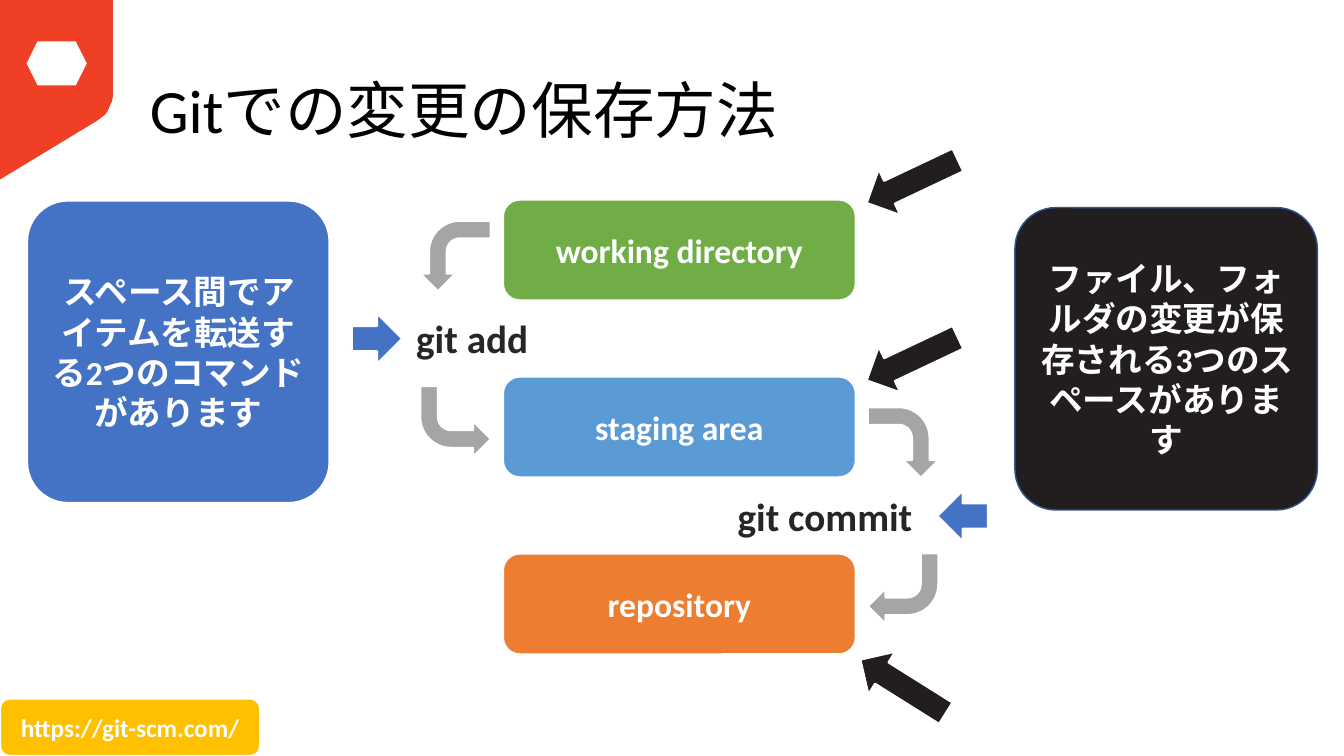
import pptx
import pptx.util
import pptx.dml.color
import pptx.enum.shapes
import pptx.enum.text

Pt = pptx.util.Pt
RGBColor = pptx.dml.color.RGBColor
SHAPE = pptx.enum.shapes.MSO_SHAPE
ALIGN = pptx.enum.text.PP_ALIGN
ANCHOR = pptx.enum.text.MSO_ANCHOR

WHITE = RGBColor(0xFF, 0xFF, 0xFF)
BLACK = RGBColor(0x00, 0x00, 0x00)
INK = RGBColor(0x22, 0x1E, 0x1F)
CHARCOAL = RGBColor(0x26, 0x26, 0x26)
RED = RGBColor(0xEF, 0x3F, 0x24)
BLUE = RGBColor(0x44, 0x72, 0xC4)
NAVY = RGBColor(0x32, 0x54, 0x91)
GREEN = RGBColor(0x70, 0xAD, 0x47)
SKY = RGBColor(0x5B, 0x9B, 0xD5)
ORANGE = RGBColor(0xED, 0x7D, 0x31)
GRAY = RGBColor(0xA5, 0xA5, 0xA5)
GOLD = RGBColor(0xFF, 0xC0, 0x00)

deck = pptx.Presentation()
deck.slide_width = Pt(960)
deck.slide_height = Pt(540)
page = deck.slides.add_slide(deck.slide_layouts[6])


def add_figure(kind, left, top, width, height, fill):
    figure = page.shapes.add_shape(kind, Pt(left), Pt(top), Pt(width), Pt(height))
    figure.shadow.inherit = False
    figure.fill.solid()
    figure.fill.fore_color.rgb = fill
    figure.line.color.rgb = WHITE
    figure.line.width = Pt(1.5)
    return figure


def write(box, text, size, color, align, bold=True):
    para = box.text_frame.paragraphs[0]
    para.alignment = align
    span = para.add_run()
    span.text = text
    span.font.name = "Calibri"
    span.font.size = Pt(size)
    span.font.bold = bold
    span.font.color.rgb = color
    return para


outline = page.shapes.build_freeform(Pt(80.6), Pt(0))
corner = [(0, 0), (0, 128.2), (69.1, 86.4), (72, 84.2), (74.9, 82.1), (77, 79.2),
          (78.5, 75.6), (79.9, 72.7), (80.6, 69.1), (80.6, 65.5)]
outline.add_line_segments([(Pt(x), Pt(y)) for x, y in corner])
banner = outline.convert_to_shape()
banner.shadow.inherit = False
banner.fill.solid()
banner.fill.fore_color.rgb = RED
banner.line.fill.background()

emblem = add_figure(SHAPE.HEXAGON, 19, 29.5, 43, 31.5, WHITE)
emblem.line.fill.background()

title = page.shapes.add_textbox(Pt(100), Pt(28.8), Pt(794), Pt(104.4))
title.text_frame.word_wrap = True
title.text_frame.vertical_anchor = ANCHOR.MIDDLE
heading = write(title, "Gitでの変更の保存方法", 44, BLACK, ALIGN.LEFT, False)
heading.line_spacing = 0.9

for left, top, size, turn, fill in [
    (615.6, 111.6, 72, 154.7, INK),
    (615.6, 238.3, 72, 154.7, INK),
    (609.1, 472.3, 72, 212.1, INK),
    (251.3, 223.9, 36, 0, BLUE),
    (669.6, 350.6, 36, 180, BLUE),
]:
    pointer = add_figure(SHAPE.RIGHT_ARROW, left, top, size, 36, fill)
    pointer.rotation = turn

for left, top, fill, edge, edge_width, text in [
    (725, 148.3, INK, NAVY, 1, "ファイル、フォルダの変更が保存される3つのスペースがあります"),
    (19.4, 143.3, BLUE, WHITE, 1.5, "スペース間でアイテムを転送する2つのコマンドがあります"),
]:
    note = add_figure(SHAPE.ROUNDED_RECTANGLE, left, top, 216, 216, fill)
    note.adjustments[0] = 0.135
    note.line.color.rgb = edge
    note.line.width = Pt(edge_width)
    write(note, text, 24, WHITE, ALIGN.CENTER)

stages = [("working directory", GREEN), ("staging area", SKY), ("repository", ORANGE)]
for row, (name, fill) in enumerate(stages):
    stage = add_figure(SHAPE.ROUNDED_RECTANGLE, 359.3, 142.6 + 126.4 * row, 252, 72, fill)
    write(stage, name, 24, WHITE, ALIGN.CENTER)

for left, top, turn, flips in [
    (300.2, 157.7, 90, ["flipV"]),
    (300.2, 275.8, 0, ["flipV"]),
    (619.9, 290.9, 90, []),
    (619.9, 395.3, 0, ["flipH", "flipV"]),
]:
    bend = add_figure(SHAPE.BENT_ARROW, left, top, 50.4, 50.4, GRAY)
    bend.rotation = turn
    for flip in flips:
        bend.element.spPr.get_or_add_xfrm().set(flip, "1")

for left, top, width, text in [
    (290.2, 221, 103.7, "git add"),
    (519.8, 347.8, 150.5, "git commit"),
]:
    command = page.shapes.add_textbox(Pt(left), Pt(top), Pt(width), Pt(41))
    command.text_frame.word_wrap = False
    command.text_frame.auto_size = pptx.enum.text.MSO_AUTO_SIZE.SHAPE_TO_FIT_TEXT
    write(command, text, 28, CHARCOAL, ALIGN.LEFT)

address = add_figure(SHAPE.ROUNDED_RECTANGLE, 0, 499, 185.8, 41, GOLD)
write(address, "https://git-scm.com/", 18, WHITE, ALIGN.CENTER)

deck.save("out.pptx")
